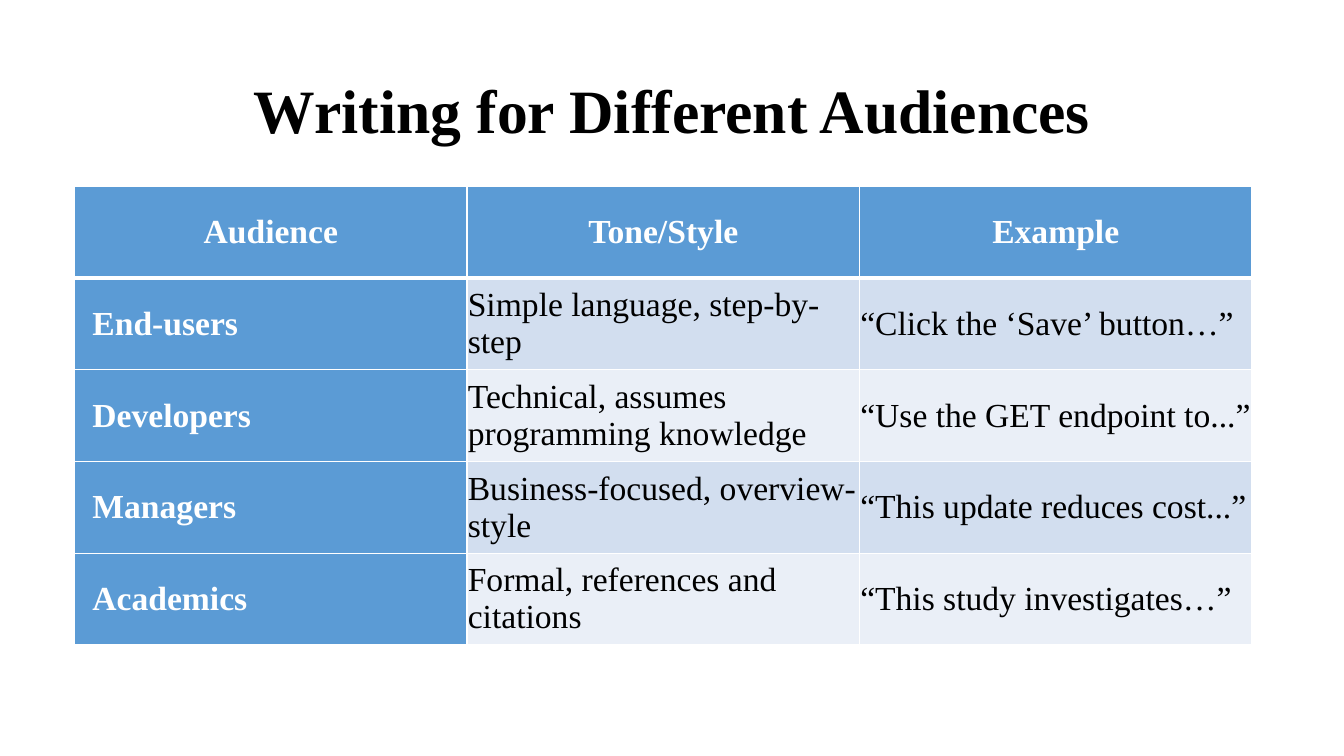
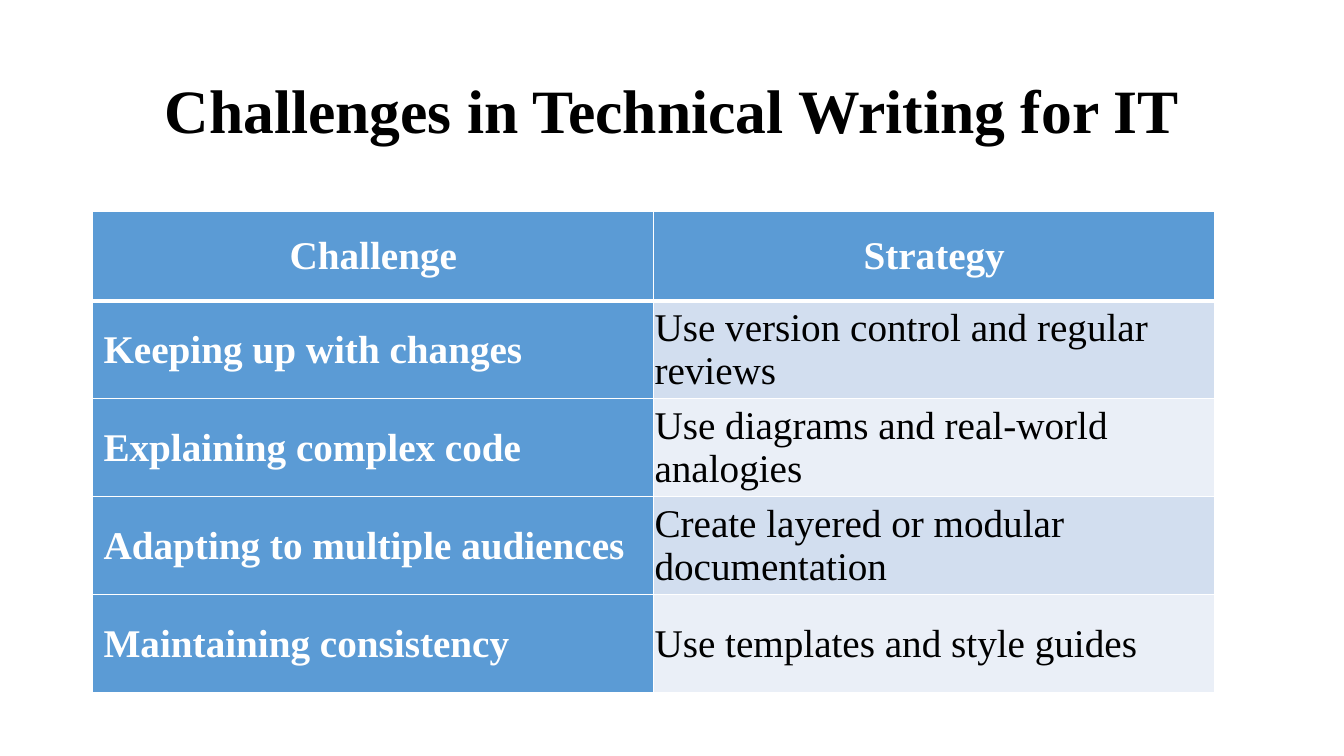
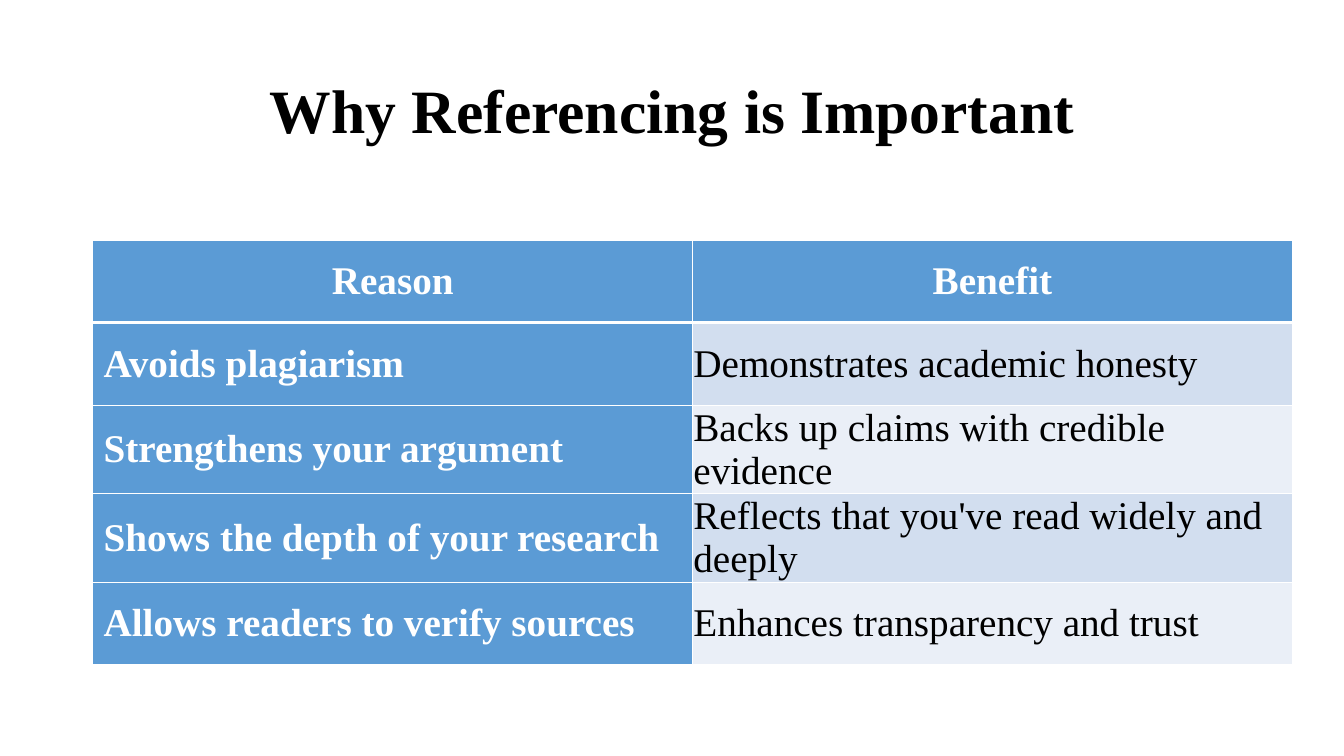
from lxml import etree
from pptx import Presentation
from pptx.dml.color import RGBColor
from pptx.enum.text import MSO_ANCHOR, PP_ALIGN
from pptx.oxml.ns import qn
from pptx.util import Cm, Pt

MIDDLE = MSO_ANCHOR.MIDDLE
CENTER = PP_ALIGN.CENTER
LEFT = PP_ALIGN.LEFT

COLORS = {
    "black": "000000",
    "white": "FFFFFF",
    "accent": "5B9BD5",
    "band_dark": "D2DEEF",
    "band_light": "EAEFF7",
}
FONT = "Times New Roman"
TITLE_ONLY = 5
TITLE_BOX = {"left": Cm(2.34), "top": Cm(1.02), "width": Cm(29.21), "height": Cm(3.68)}
CELL_MARGIN = Cm(0.02)
CELL_FORMAT = {
    "margin_left": CELL_MARGIN,
    "margin_right": CELL_MARGIN,
    "margin_top": CELL_MARGIN,
    "margin_bottom": CELL_MARGIN,
    "vertical_anchor": MIDDLE,
}
THIN, THICK = Pt(1), Pt(3)

SLIDES = [
    {
        "title": "Writing for Different Audiences",
        "left": 1.88, "top": 4.7, "width": 29.67,
        "row_heights": [2.31] * 5, "size": 24, "indent": 0.45,
        "rows": [
            ["Audience", "Tone/Style", "Example"],
            ["End-users", "Simple language, step-by-step", "“Click the ‘Save’ button…”"],
            ["Developers", "Technical, assumes programming knowledge",
             "“Use the GET endpoint to...”"],
            ["Managers", "Business-focused, overview-style",
             "“This update reduces cost...”"],
            ["Academics", "Formal, references and citations",
             "“This study investigates…”"],
        ],
    },
    {
        "title": "Challenges in Technical Writing for IT",
        "left": 2.34, "top": 5.33, "width": 28.27,
        "row_heights": [2.25] + [2.47] * 4, "size": 28, "indent": 0.27,
        "rows": [
            ["Challenge", "Strategy"],
            ["Keeping up with changes", "Use version control and regular reviews"],
            ["Explaining complex code", "Use diagrams and real-world analogies"],
            ["Adapting to multiple audiences", "Create layered or modular documentation"],
            ["Maintaining consistency", "Use templates and style guides"],
        ],
    },
    {
        "title": "Why Referencing is Important",
        "left": 2.34, "top": 6.05, "width": 30.23,
        "row_heights": [2.08, 2.08, 2.23, 2.23, 2.08], "size": 28, "indent": 0.27,
        "rows": [
            ["Reason", "Benefit"],
            ["Avoids plagiarism", "Demonstrates academic honesty"],
            ["Strengthens your argument", "Backs up claims with credible evidence"],
            ["Shows the depth of your research", "Reflects that you've read widely and deeply"],
            ["Allows readers to verify sources", "Enhances transparency and trust"],
        ],
    },
]


def set_attributes(target, values):
    """Set each named value on the target object."""
    for name, value in values.items():
        setattr(target, name, value)


def write_text(text_frame, text, size, color, bold, alignment):
    """Write one formatted paragraph and return it."""
    paragraph = text_frame.paragraphs[0]
    paragraph.alignment = alignment
    run = paragraph.add_run()
    run.text = text
    set_attributes(run.font, {"name": FONT, "size": Pt(size), "bold": bold})
    run.font.color.rgb = RGBColor.from_string(COLORS[color])
    return paragraph


def add_title(slide, text):
    """Place and fill the title placeholder."""
    title = slide.shapes.title
    set_attributes(title, TITLE_BOX)
    set_attributes(title.text_frame, {"vertical_anchor": MIDDLE, "word_wrap": True})
    paragraph = write_text(title.text_frame, text, 44, "black", True, CENTER)
    paragraph.line_spacing = 0.9


def add_borders(cell, row_index):
    """Draw white cell borders with a thick rule below the header."""
    widths = {
        "a:lnL": THIN,
        "a:lnR": THIN,
        "a:lnT": THICK if row_index == 1 else THIN,
        "a:lnB": THICK if row_index == 0 else THIN,
    }
    properties = cell._tc.get_or_add_tcPr()
    for tag, width in widths.items():
        line = etree.SubElement(properties, qn(tag), w=str(width))
        fill = etree.SubElement(line, qn("a:solidFill"))
        etree.SubElement(fill, qn("a:srgbClr"), val=COLORS["white"])


def fill_cell(cell, text, row_index, column_index, size, indent):
    """Format one cell by its place in the table."""
    is_header = row_index == 0
    is_label = is_header or column_index == 0
    band = "band_dark" if row_index % 2 else "band_light"
    set_attributes(cell, CELL_FORMAT)
    if is_label and not is_header:
        cell.margin_left = Cm(indent)
    add_borders(cell, row_index)
    cell.fill.solid()
    cell.fill.fore_color.rgb = RGBColor.from_string(COLORS["accent" if is_label else band])
    write_text(cell.text_frame, text, size, "white" if is_label else "black",
               is_label, CENTER if is_header else LEFT)


def add_banded_table(slide, content):
    """Add a table with equal columns, a header row and a label column."""
    rows, heights = content["rows"], content["row_heights"]
    table = slide.shapes.add_table(
        len(rows), len(rows[0]), Cm(content["left"]), Cm(content["top"]),
        Cm(content["width"]), Cm(sum(heights))).table
    table.first_col = True
    for row, height in zip(table.rows, heights):
        row.height = Cm(height)
    for row_index, texts in enumerate(rows):
        for column_index, text in enumerate(texts):
            fill_cell(table.cell(row_index, column_index), text, row_index,
                      column_index, content["size"], content["indent"])


def main():
    """Build and save the presentation."""
    presentation = Presentation()
    set_attributes(presentation, {"slide_width": Cm(33.87), "slide_height": Cm(19.05)})
    for content in SLIDES:
        slide = presentation.slides.add_slide(presentation.slide_layouts[TITLE_ONLY])
        add_title(slide, content["title"])
        add_banded_table(slide, content)
    presentation.save("out.pptx")


if __name__ == "__main__":
    main()
